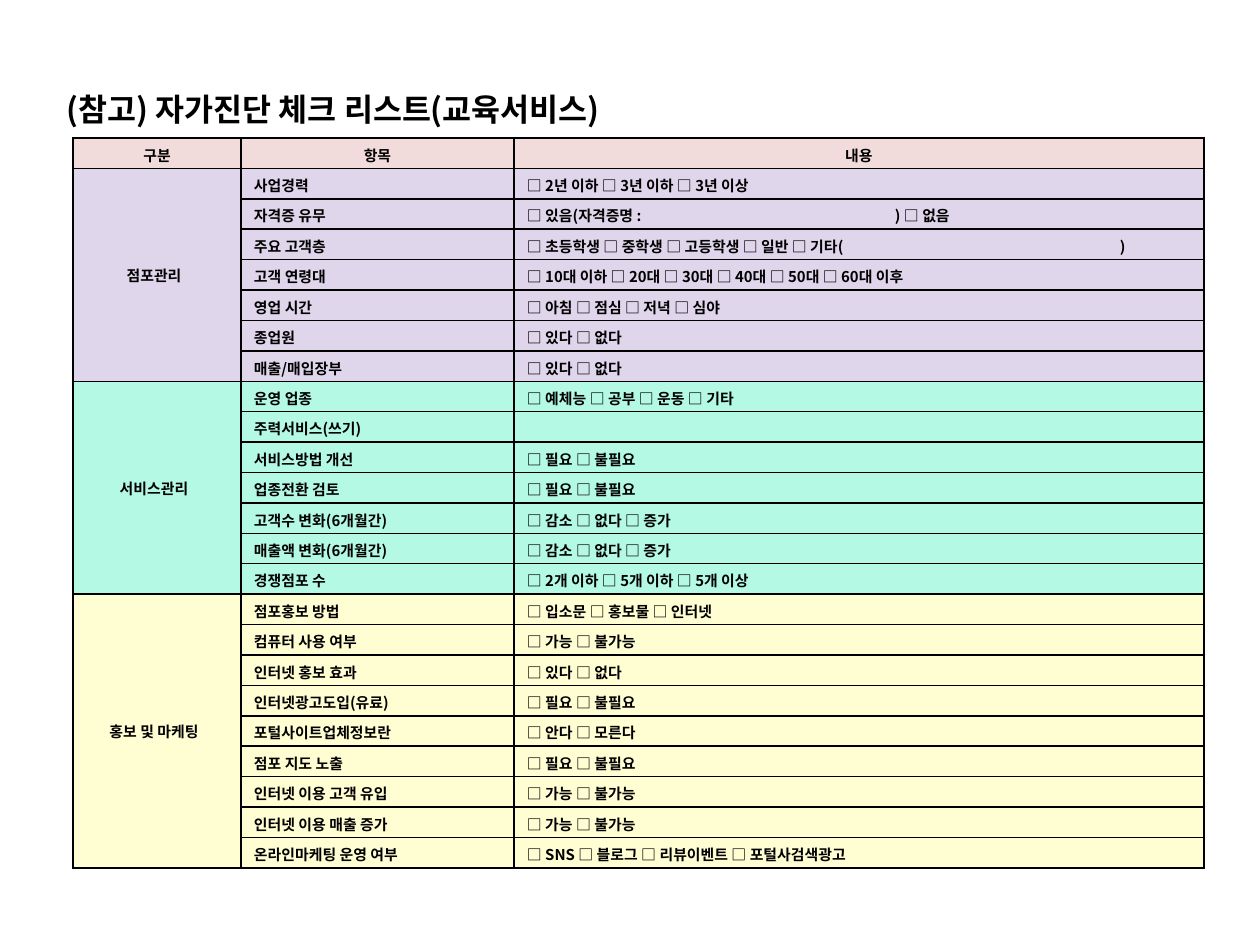
from lxml.etree import SubElement
from pptx import Presentation
from pptx.dml.color import RGBColor
from pptx.enum.text import MSO_ANCHOR as Anchor, MSO_AUTO_SIZE as AutoSize, PP_ALIGN as Align
from pptx.oxml.ns import qn
from pptx.util import Pt

PX = 914400 / 126  # EMU in one px
FONT = "Noto Sans CJK KR"
COLORS = {"text": "000000", "border": "000000", "header": "F1DCDB",
          "store": "E0D6EC", "service": "B4F9E3", "marketing": "FFFDD2"}

COLUMNS = (168, 273, 690)
HEADER = ("구분", "항목", "내용")
YES_NO = ("있다", "없다")
NEED = ("필요", "불필요")
ABLE = ("가능", "불가능")
CHANGE = ("감소", "없다", "증가")
# Each group: name, colour, rows of (item, options)
GROUPS = (
    ("점포관리", "store", (
        ("사업경력", ("2년 이하", "3년 이하", "3년 이상")),
        ("자격증 유무", ("있음(자격증명 :\t)", "없음")),
        ("주요 고객층", ("초등학생", "중학생", "고등학생", "일반", "기타(\t)")),
        ("고객 연령대", ("10대 이하", "20대", "30대", "40대", "50대", "60대 이후")),
        ("영업 시간", ("아침", "점심", "저녁", "심야")),
        ("종업원", YES_NO),
        ("매출/매입장부", YES_NO))),
    ("서비스관리", "service", (
        ("운영 업종", ("예체능", "공부", "운동", "기타")),
        ("주력서비스(쓰기)", ()),
        ("서비스방법 개선", NEED),
        ("업종전환 검토", NEED),
        ("고객수 변화(6개월간)", CHANGE),
        ("매출액 변화(6개월간)", CHANGE),
        ("경쟁점포 수", ("2개 이하", "5개 이하", "5개 이상")))),
    ("홍보 및 마케팅", "marketing", (
        ("점포홍보 방법", ("입소문", "홍보물", "인터넷")),
        ("컴퓨터 사용 여부", ABLE),
        ("인터넷 홍보 효과", YES_NO),
        ("인터넷광고도입(유료)", NEED),
        ("포털사이트업체정보란", ("안다", "모른다")),
        ("점포 지도 노출", NEED),
        ("인터넷 이용 고객 유입", ABLE),
        ("인터넷 이용 매출 증가", ABLE),
        ("온라인마케팅 운영 여부", ("SNS", "블로그", "리뷰이벤트", "포털사검색광고")))),
)
TAB_STOPS = {"자격증 유무": 368, "주요 고객층": 593}


def px(length):
    return round(length * PX)


def set_format(target, values):
    for name, value in values.items():
        setattr(target, name, value)


def write(paragraph, text, size):
    run = paragraph.add_run()
    run.text = text
    set_format(run.font, {"name": FONT, "size": Pt(size), "bold": True})
    run.font.color.rgb = RGBColor.from_string(COLORS["text"])
    SubElement(run.font._element, qn("a:ea"), typeface=FONT)


def add_tab_stop(paragraph, position):
    tabs = SubElement(paragraph._p.get_or_add_pPr(), qn("a:tabLst"))
    SubElement(tabs, qn("a:tab"), pos=str(px(position)), algn="l")


def add_borders(cell):
    properties = cell._tc.get_or_add_tcPr()
    for index, side in enumerate(("lnL", "lnR", "lnT", "lnB")):
        line = SubElement(properties, qn(f"a:{side}"), w=str(Pt(1)))
        fill = SubElement(line, qn("a:solidFill"))
        SubElement(fill, qn("a:srgbClr"), val=COLORS["border"])
        properties.insert(index, line)


def fill_cell(cell, text, color, align=Align.LEFT, tab=None, **layout):
    margins = {"margin_left": 0, "margin_top": px(6), "margin_right": 0, "margin_bottom": 0}
    set_format(cell, margins | layout)
    cell.fill.solid()
    cell.fill.fore_color.rgb = RGBColor.from_string(COLORS[color])
    add_borders(cell)
    paragraph = cell.text_frame.paragraphs[0]
    paragraph.alignment = align
    if tab:
        add_tab_stop(paragraph, tab)
    if text:
        write(paragraph, text, 8.5)
    else:  # keeps an empty row as low as the others
        SubElement(paragraph._p, qn("a:endParaRPr"), sz="850")


def add_title(slide, left, top, width, height):
    title = slide.shapes.title
    set_format(title, {"left": px(left), "top": px(top),
                       "width": px(width), "height": px(height)})
    frame = title.text_frame
    set_format(frame, {"margin_left": px(1), "margin_top": px(1), "margin_right": 0,
                       "margin_bottom": 0, "word_wrap": True,
                       "vertical_anchor": Anchor.TOP, "auto_size": AutoSize.SHAPE_TO_FIT_TEXT})
    frame.paragraphs[0].alignment = Align.LEFT
    write(frame.paragraphs[0], "(참고) 자가진단 체크 리스트(교육서비스)", 18)


def add_checklist(slide, left, top, width, height):
    row_count = 1 + sum(len(rows) for _, _, rows in GROUPS)
    table = slide.shapes.add_table(row_count, len(COLUMNS), px(left), px(top),
                                   px(width), px(height)).table
    set_format(table, {"first_row": False, "horz_banding": False})
    for column, column_width in zip(table.columns, COLUMNS):
        column.width = px(column_width)
    for row in table.rows:
        row.height = px(height / row_count)

    # Header row
    for index, text in enumerate(HEADER):
        fill_cell(table.cell(0, index), text, "header", Align.CENTER)

    # Groups, each with one merged name cell
    start = 1
    for name, color, rows in GROUPS:
        for index, (item, options) in enumerate(rows, start):
            choices = " ".join(f"□ {option}" for option in options)
            fill_cell(table.cell(index, 0), name if index == start else "", color,
                      Align.CENTER, margin_top=0, margin_right=px(6),
                      vertical_anchor=Anchor.MIDDLE)
            fill_cell(table.cell(index, 1), item, color, margin_left=px(13))
            fill_cell(table.cell(index, 2), choices, color, margin_left=px(13),
                      tab=TAB_STOPS.get(item))
        table.cell(start, 0).merge(table.cell(start + len(rows) - 1, 0))
        start += len(rows)


def main():
    presentation = Presentation()
    set_format(presentation, {"slide_width": px(1260), "slide_height": px(945)})
    slide = presentation.slides.add_slide(presentation.slide_layouts[5])
    add_title(slide, 66, 89, 590, 42)
    add_checklist(slide, 73, 138, sum(COLUMNS), 730)
    presentation.save("out.pptx")


if __name__ == "__main__":
    main()
